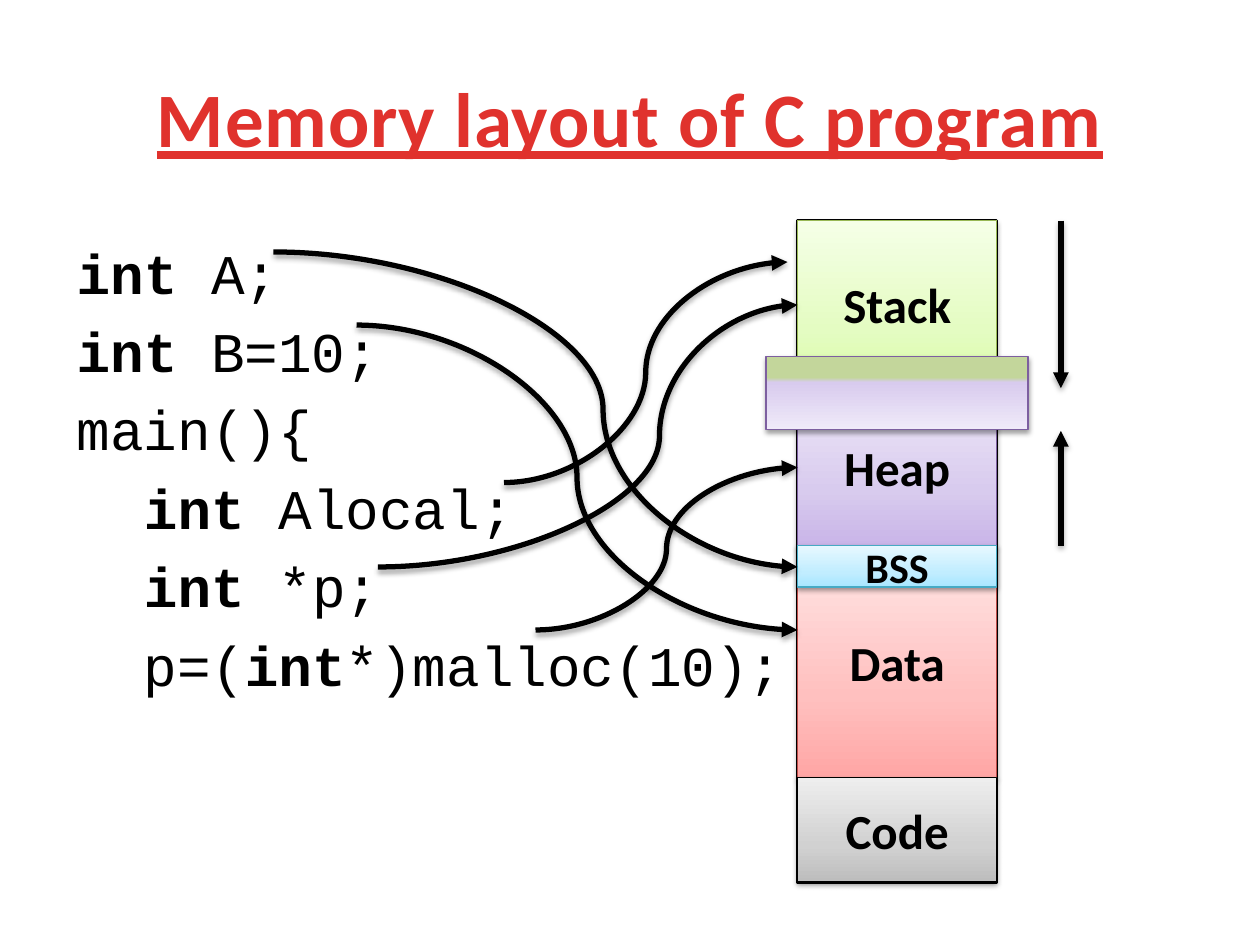
from lxml import etree
from pptx import Presentation
from pptx.dml.color import RGBColor
from pptx.enum.shapes import MSO_CONNECTOR, MSO_SHAPE
from pptx.enum.text import MSO_ANCHOR, PP_ALIGN
from pptx.oxml.ns import qn
from pptx.util import Inches, Pt

CURVE, STRAIGHT = MSO_CONNECTOR.CURVE, MSO_CONNECTOR.STRAIGHT
RECT = MSO_SHAPE.RECTANGLE
MIDDLE, CENTER = MSO_ANCHOR.MIDDLE, PP_ALIGN.CENTER

THEME = {
    "sans": "Calibri", "mono": "Courier New",
    "red": "E0322D", "ink": "000000", "white": "FFFFFF",
    "title": 44, "code": 32, "label": 28, "small": 24,
    "edge": 0.75, "frame": 2, "wire": 3,
}

# Content
TITLE = "Memory layout of C program"
KEYWORD = "int"
CODE = [
    "int A;",
    "int B=10;",
    "main(){",
    "  int Alocal;",
    "  int *p;",
    "  p=(int*)malloc(10);",
]

# Memory column: left, width, top, bottom
LEFT, WIDE, TOP, BASE = 6.33, 1.58, 1.75, 7.0
# Label, top, bottom, overhang, type size, edge, gradient stops, angle
BLOCKS = [
    ("Data", 4.33, 6.17, 0, "label", "BE4B48",
     [(0, "FFA6A5"), (35, "FFC0BF"), (100, "FFE7E7")], 90),
    ("Code", 6.17, BASE, 0, "label", "000000",
     [(0, "BDBDBD"), (35, "D1D1D1"), (100, "EEEEEE")], 90),
    ("Heap", 3.08, 4.33, 0, "label", "7D5FA0",
     [(0, "C9B5E8"), (35, "D8CBEE"), (100, "F0EAF9")], 90),
    ("Stack", TOP, 3.08, 0, "label", "98B855",
     [(0, "DAFDA7"), (35, "E4FCC2"), (100, "F5FFE7")], 90),
    ("", 2.83, 3.41, 0.25, "label", "7D5FA0",
     [(29, "C3D69B"), (35, "D8CBEE"), (100, "F0EAF9")], 270),
    ("BSS", 4.33, 4.66, 0, "small", "46AAC4",
     [(0, "A7E6FF"), (35, "C1EDFF"), (100, "E7F8FF")], 90),
]

# Growth arrows: start and end height
GROW_X = 8.42
GROWTH = [(TOP, 3.08), (4.33, 3.42)]

# Code to memory: start, end, bend in percent
LINKS = [
    ((2.17, 2), (LEFT, 4.5), 62.9),
    ((2.83, 2.58), (LEFT, 5), 50),
    ((4, 3.83), (6.25, 2.08), 50),
    ((3, 4.5), (LEFT, 2.42), 67.1),
    ((4.25, 5), (LEFT, 3.71), 50),
]


def rgb(name):
    return RGBColor.from_string(THEME.get(name, name))


def node(root, tag, **attrs):
    item = etree.SubElement(root, qn(tag))
    for key, val in attrs.items():
        item.set(key, str(val))
    return item


def shade(shape, alpha, dist):
    props = shape._element.spPr
    group = props.find(qn("a:effectLst"))
    if group is None:
        group = node(props, "a:effectLst")
    cast = node(group, "a:outerShdw", blurRad=Pt(3.1), dist=Pt(dist),
                dir=90 * 60000, rotWithShape=0)
    tint = node(cast, "a:srgbClr", val=THEME["ink"])
    node(tint, "a:alpha", val=alpha * 1000)


def blend(shape, stops, angle):
    shape.fill.gradient()
    shape.fill.gradient_angle = angle
    group = shape._element.spPr.find(qn("a:gradFill")).find(qn("a:gsLst"))
    for old in list(group):
        group.remove(old)
    for pos, color in stops:
        node(node(group, "a:gs", pos=pos * 1000), "a:srgbClr", val=color)


def style(font, face, size, color="ink"):
    font.name, font.size = THEME[face], Pt(THEME[size])
    font.color.rgb = rgb(color)


def text_box(slide, *place):
    frame = slide.shapes.add_textbox(*map(Inches, place)).text_frame
    frame.word_wrap = True
    return frame


def box(slide, left, top, width, height, edge, weight):
    shape = slide.shapes.add_shape(
        RECT, *map(Inches, (left, top, width, height)))
    shape.shadow.inherit = False
    shape.line.color.rgb = rgb(edge)
    shape.line.width = Pt(weight)
    return shape


def arrow(slide, kind, start, end, bend=None):
    wire = slide.shapes.add_connector(kind, *map(Inches, start + end))
    wire.line.color.rgb = rgb("ink")
    wire.line.width = Pt(THEME["wire"])
    node(wire.line._get_or_add_ln(), "a:tailEnd", type="triangle")
    shade(wire, 35, 1.8)
    if bend is not None:
        geom = wire._element.spPr.find(qn("a:prstGeom"))
        node(geom.find(qn("a:avLst")), "a:gd", name="adj1",
             fmla=f"val {round(bend * 1000)}")


def main():
    deck = Presentation()
    deck.slide_width, deck.slide_height = Inches(10), Inches(7.5)
    slide = deck.slides.add_slide(deck.slide_layouts[6])

    # Title
    frame = text_box(slide, 0.5, 0.3, 9, 1.25)
    frame.vertical_anchor = MIDDLE
    para = frame.paragraphs[0]
    para.alignment = CENTER
    run = para.add_run()
    run.text = TITLE
    style(para.font, "sans", "title", "red")
    para.font.bold = para.font.underline = True
    run._r.get_or_add_rPr().set("spc", "50")

    # Code listing with bold keywords
    frame = text_box(slide, 0.5, 1.84, 9, 4.86)
    for row, line in enumerate(CODE):
        para = frame.add_paragraph() if row else frame.paragraphs[0]
        if row:
            para.space_before = Pt(6.4)
        props = para._p.get_or_add_pPr()
        props.set("marL", str(Inches(0.38)))
        props.set("indent", str(Inches(-0.37)))
        style(para.font, "mono", "code")
        head, word, rest = line.partition(KEYWORD)
        for part in filter(None, (head, word, rest)):
            run = para.add_run()
            run.text = part
            run.font.bold = part == KEYWORD

    # Memory column
    back = box(slide, LEFT, TOP, WIDE, BASE - TOP, "ink", THEME["frame"])
    back.fill.solid()
    back.fill.fore_color.rgb = rgb("white")
    for label, top, low, over, size, edge, stops, angle in BLOCKS:
        shape = box(slide, LEFT - over, top, WIDE + 2 * over, low - top,
                    edge, THEME["edge"])
        blend(shape, stops, angle)
        shade(shape, 38, 1.6)
        if label:
            shape.text_frame.text = label
            shape.text_frame.vertical_anchor = MIDDLE
            para = shape.text_frame.paragraphs[0]
            para.alignment = CENTER
            style(para.font, "sans", size)
            para.font.bold = True

    # Growth arrows
    for start, end in GROWTH:
        arrow(slide, STRAIGHT, (GROW_X, start), (GROW_X, end))

    # Links from code to memory
    for start, end, bend in LINKS:
        arrow(slide, CURVE, start, end, bend)

    deck.save("out.pptx")


if __name__ == "__main__":
    main()
